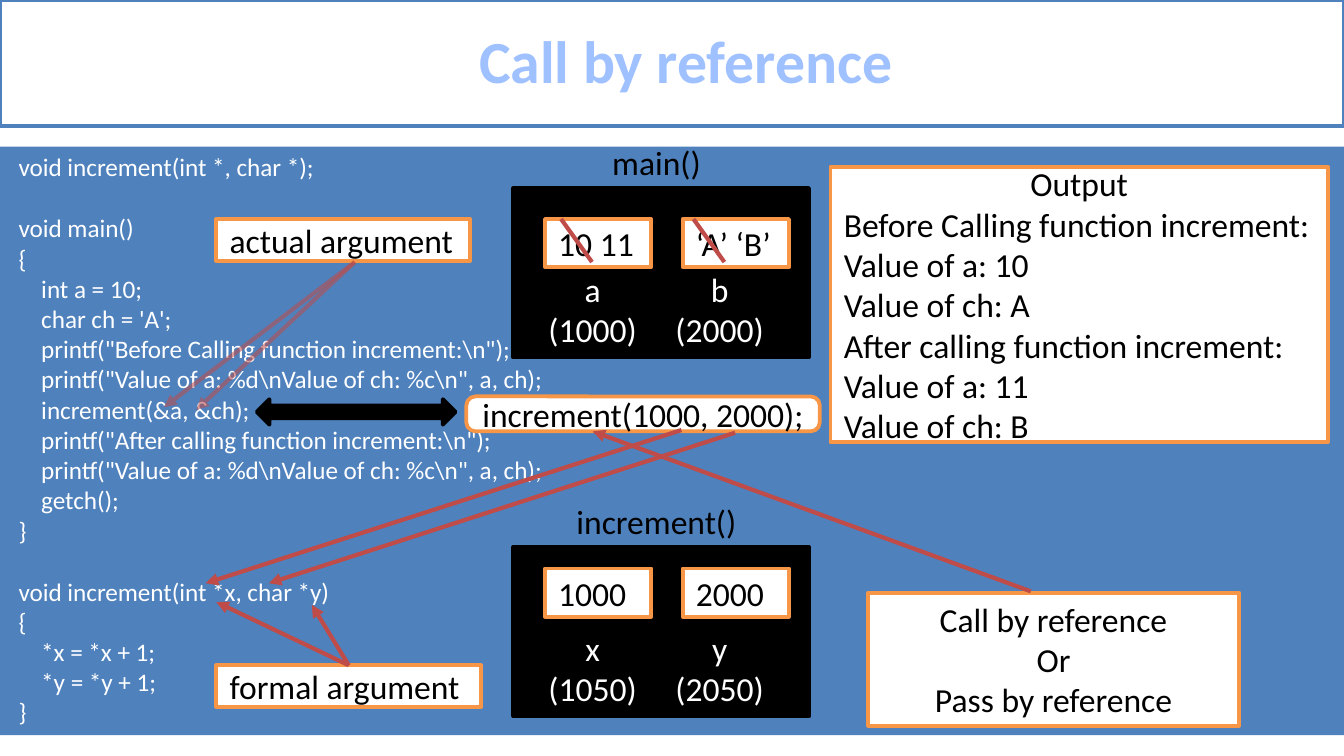
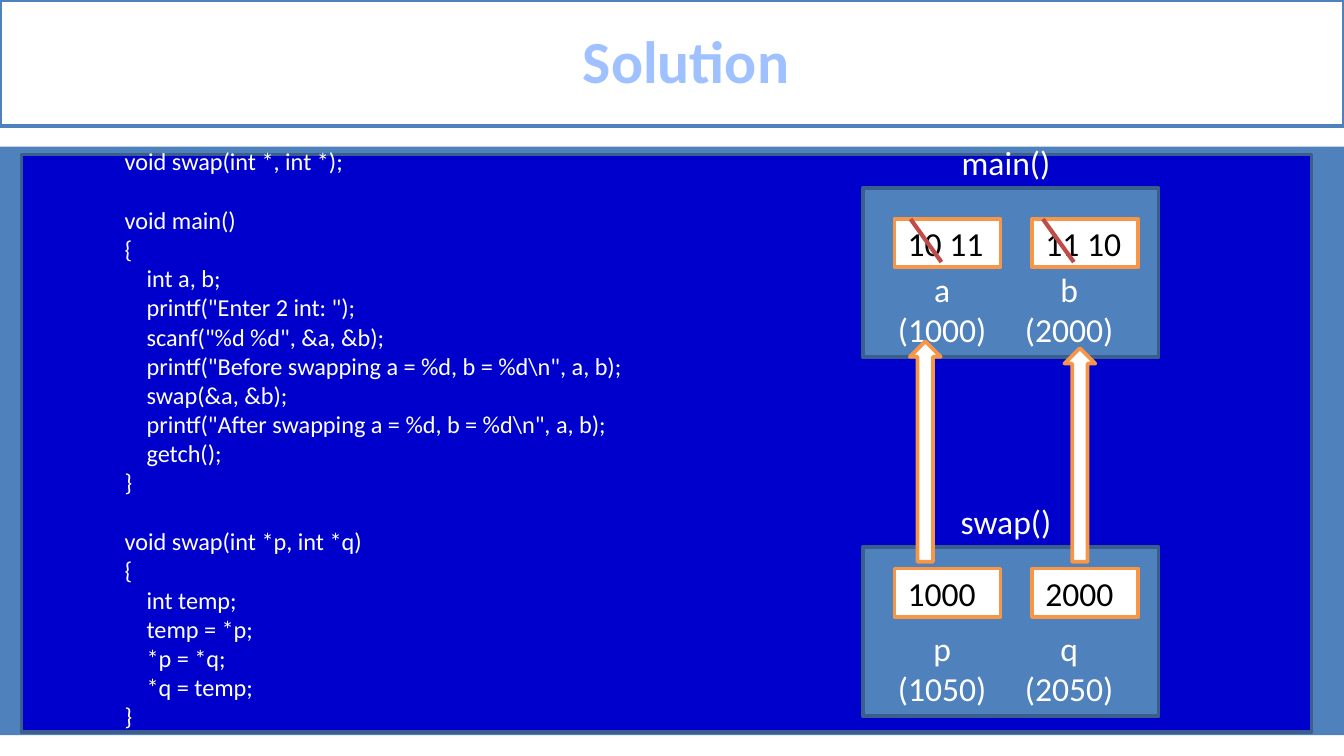
from lxml import etree
from pptx import Presentation
from pptx import util as u
from pptx.dml.color import RGBColor
from pptx.enum import shapes, text
from pptx.oxml.ns import qn

# Slide grid: 100 columns by 56.25 rows (16:9)
COLS, ROWS = 100, 56.25
CELL = u.Inches(0.1)

WHITE, BLACK = "FFFFFF", "000000"
BLUE, NAVY, STEEL = "4F81BD", "0000CC", "3A5F8C"
ORANGE, RED, FADED_RED = "F79646", "BF4C48", "BE4B48"
TITLE_BLUE = "A0C1FF"
FONT = "Calibri"
LINE_HEIGHT = 1.22

KIND = shapes.MSO_SHAPE
LEFT, CENTER = text.PP_ALIGN.LEFT, text.PP_ALIGN.CENTER

SWAP_CODE = r"""void swap(int *, int *);

void main()
{
    int a, b;
    printf("Enter 2 int: ");
    scanf("%d %d", &a, &b);
    printf("Before swapping a = %d, b = %d\n", a, b);
    swap(&a, &b);
    printf("After swapping a = %d, b = %d\n", a, b);
    getch();
}

void swap(int *p, int *q)
{
    int temp;
    temp = *p;
    *p = *q;
    *q = temp;
}"""

INCREMENT_CODE = r"""void increment(int *, char *);

void main()
{
    int a = 10;
    char ch = 'A';
    printf("Before Calling function increment:\n");
    printf("Value of a: %d\nValue of ch: %c\n", a, ch);
    increment(&a, &ch);
    printf("After calling function increment:\n");
    printf("Value of a: %d\nValue of ch: %c\n", a, ch);
    getch();
}

void increment(int *x, char *y)
{
    *x = *x + 1;
    *y = *y + 1;
}"""


def rgb(color):
    return RGBColor.from_string(color)


def grid(*lengths):
    return [round(n * CELL) for n in lengths]


def write(tf, lines, color, size=18, align=LEFT, bold=False):
    """Put one paragraph per line; an empty line becomes space before the next."""
    gap = 0
    p = None
    for line in lines:
        if not line:
            gap += size * LINE_HEIGHT
            continue
        p = tf.add_paragraph() if p is not None else tf.paragraphs[0]
        p.alignment = align
        if gap:
            p.space_before = u.Pt(round(gap, 1))
            gap = 0
        r = p.add_run()
        r.text = line
        r.font.name, r.font.size, r.font.bold = FONT, u.Pt(size), bold
        r.font.color.rgb = rgb(color)


def shape(s, at, fill, line=None, kind=KIND.RECTANGLE):
    sp = s.shapes.add_shape(kind, *grid(*at))
    sp.shadow.inherit = False
    sp.fill.solid()
    sp.fill.fore_color.rgb = rgb(fill)
    if line:
        sp.line.color.rgb = rgb(line)
        sp.line.width = u.Pt(2)
    else:
        sp.line.fill.background()
    return sp


def box(s, at, *lines, align=LEFT, kind=KIND.RECTANGLE):
    """White box with an orange border and black text."""
    sp = shape(s, at, WHITE, ORANGE, kind)
    sp.text_frame.vertical_anchor = text.MSO_ANCHOR.MIDDLE
    write(sp.text_frame, lines, BLACK, align=align)
    return sp


def label(s, at, lines, color, size=18, align=CENTER):
    tf = s.shapes.add_textbox(*grid(*at)).text_frame
    tf.word_wrap = True
    write(tf, lines, color, size, align)


def code(s, at, listing, size):
    label(s, at, listing.split("\n"), WHITE, size, LEFT)


def line(s, start, end, color=RED, arrow=True, opacity=None):
    c = s.shapes.add_connector(shapes.MSO_CONNECTOR.STRAIGHT, *grid(*start, *end))
    c.line.color.rgb = rgb(color)
    c.line.width = u.Pt(2.25)
    ln = c._element.spPr.find(qn("a:ln"))
    if opacity:
        alpha = etree.SubElement(next(ln.iter(qn("a:srgbClr"))), qn("a:alpha"))
        alpha.set("val", str(opacity * 1000))
    if arrow:
        etree.SubElement(ln, qn("a:tailEnd")).set("type", "triangle")
    etree.SubElement(c._element.spPr, qn("a:effectLst"))
    return c


def memory(s, x, y, name, name_color, style, variables, cell_drop, struck=False):
    """Frame of a function: its name above, then value, variable and address."""
    shape(s, (x, y, 22, 12.6), *style)
    label(s, (x + 3.6, y - 3.95, 14.1, 4), [name], name_color)
    for i, (value, variable, address) in enumerate(variables):
        left = x + 2.35 + 10.25 * i
        top = y + cell_drop
        box(s, (left, top, 7.9, 3.6), value)
        label(s, (x + 1.55 + 9.45 * i, y + 5.5, 8.7, 7.1), [variable, address], WHITE)
        if struck:
            start = left + 1.2 - 0.4 * i
            line(s, (start, top), (start + 2.3, top + 3.2), arrow=False)


def titled_slide(prs, title):
    s = prs.slides.add_slide(prs.slide_layouts[6])
    shape(s, (0, 10.9, COLS, 43.8), BLUE)
    band = shape(s, (0, 0, COLS, 9.4), WHITE, BLUE)
    tf = band.text_frame
    tf.margin_left = u.Inches(0.31)
    tf.vertical_anchor = text.MSO_ANCHOR.MIDDLE
    write(tf, [title], TITLE_BLUE, 32, CENTER, bold=True)
    tf.paragraphs[0].line_spacing = 0.96
    return s


def reference_slide(prs):
    s = titled_slide(prs, "Call by reference")
    code(s, (0.4, 10.8, 99, 44), INCREMENT_CODE, 13.5)
    output = box(s, (61.8, 12.4, 37, 20.5), "Output",
                 "Before Calling function increment:", "Value of a: 10", "Value of ch: A",
                 "After calling function increment:", "Value of a: 11", "Value of ch: B")
    output.text_frame.paragraphs[0].alignment = CENTER

    black = (BLACK, BLACK)
    memory(s, 38.2, 14, "main()", BLACK, black,
           [("10 11", "a", "(1000)"), ("‘A’ ‘B’", "b", "(2000)")], 2.3, struck=True)
    memory(s, 38.2, 40.7, "increment()", BLACK, black,
           [("1000", "x", "(1050)"), ("2000", "y", "(2050)")], 1.6)

    shape(s, (19.1, 29.7, 14.8, 1.9), *black, kind=KIND.LEFT_RIGHT_ARROW)
    call = box(s, (34.7, 29.5, 26.3, 2.6), "increment(1000, 2000);",
               align=CENTER, kind=KIND.ROUNDED_RECTANGLE)
    call.adjustments[0] = 0.26
    call.text_frame.margin_left = call.text_frame.margin_right = 0

    box(s, (16.1, 16.3, 18.9, 3.1), "actual argument")
    for target in ((14.6, 30.5), (12.2, 30.3)):
        line(s, (26.4, 19.5), target, FADED_RED, opacity=54)
    formal = box(s, (16.1, 49.5, 19.7, 3.1), "formal argument")
    for target in ((23.2, 45), (16.1, 44.8)):
        line(s, (25.7, 49.2), target).begin_connect(formal, 0)

    box(s, (64.6, 44.1, 27.6, 9.9), "Call by reference", "Or", "Pass by reference",
        align=CENTER)
    for start, end in (((76.7, 44), (44.1, 32.1)),
                       ((50.7, 32), (15.3, 43.4)),
                       ((54.7, 32.2), (20, 43.4))):
        line(s, start, end)


def solution_slide(prs):
    s = titled_slide(prs, "Solution")
    shape(s, (1.6, 11.5, 96, 43), NAVY, STEEL)
    code(s, (8.3, 10.4, 41, 44.8), SWAP_CODE, 13)

    blue = (BLUE, STEEL)
    memory(s, 64.2, 14, "main()", WHITE, blue,
           [("10 11", "a", "(1000)"), ("11 10", "b", "(2000)")], 2.3, struck=True)
    memory(s, 64.2, 40.7, "swap()", WHITE, blue,
           [("1000", "p", "(1050)"), ("2000", "q", "(2050)")], 1.6)
    for x, top in ((67.7, 25.4), (79.2, 25.9)):
        shape(s, (x, top, 2.3, 41.8 - top), WHITE, ORANGE, KIND.UP_ARROW)


def main():
    prs = Presentation()
    prs.slide_width, prs.slide_height = grid(COLS, ROWS)
    reference_slide(prs)
    solution_slide(prs)
    prs.save("out.pptx")


if __name__ == "__main__":
    main()
